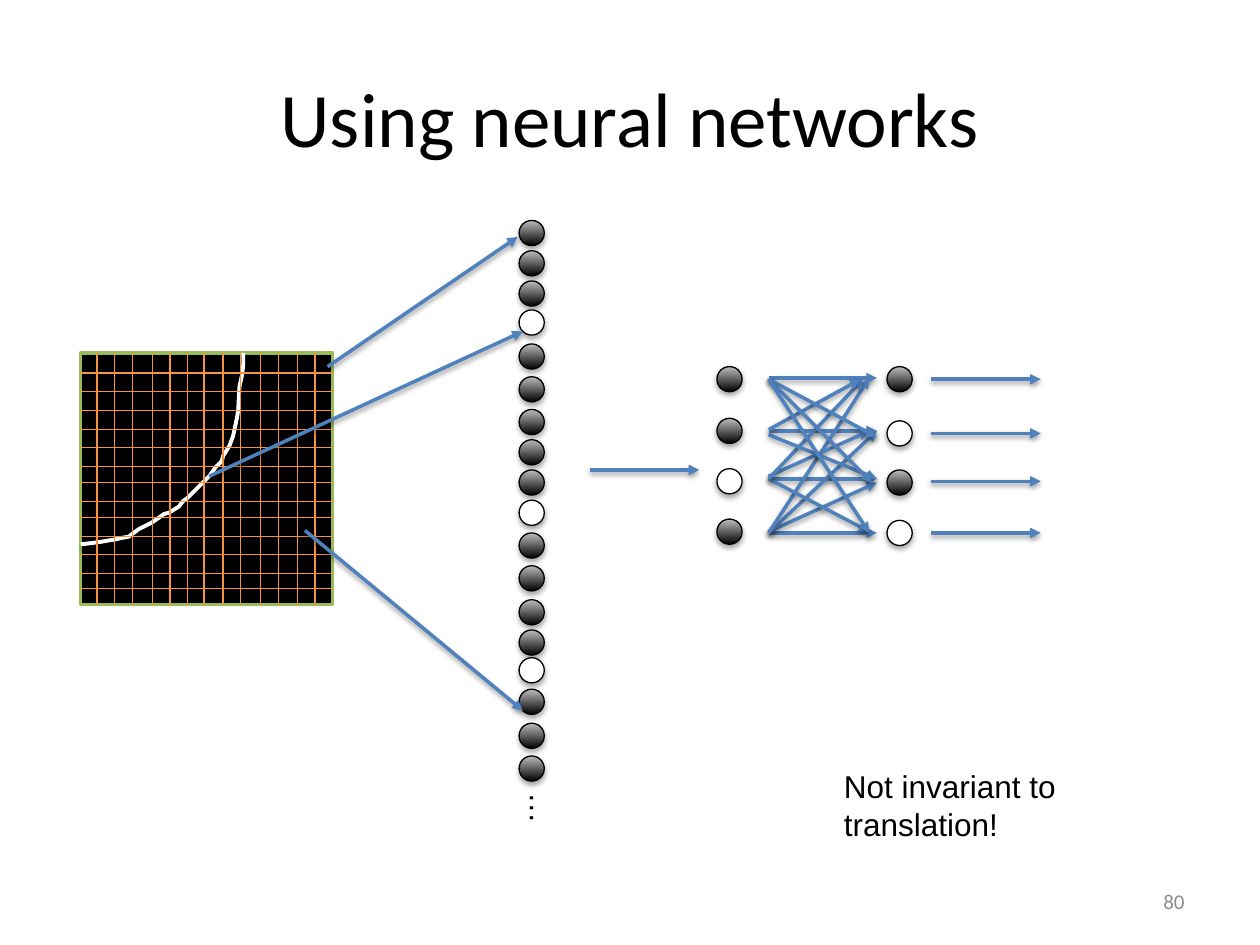
"""Build a slide that feeds the pixels of a grid into a small neural network."""
from typing import NamedTuple

from lxml import etree
from pptx import Presentation
from pptx.dml.color import RGBColor
from pptx.enum.shapes import MSO_CONNECTOR, MSO_SHAPE
from pptx.enum.text import MSO_ANCHOR, PP_ALIGN
from pptx.oxml.ns import qn
from pptx.util import Inches, Pt

STRAIGHT = MSO_CONNECTOR.STRAIGHT
RECTANGLE, OVAL = MSO_SHAPE.RECTANGLE, MSO_SHAPE.OVAL
TOP, MIDDLE = MSO_ANCHOR.TOP, MSO_ANCHOR.MIDDLE
LEFT, CENTER, RIGHT = PP_ALIGN.LEFT, PP_ALIGN.CENTER, PP_ALIGN.RIGHT

COLORS = {
    "black": "000000", "white": "FFFFFF", "gray": "BDBDBD", "number": "8C8C8C",
    "frame": "9BBB59", "grid": "F69240", "arrow": "4F81BD",
}


class Line(NamedTuple):
    x1: float
    y1: float
    x2: float
    y2: float


class Layer(NamedTuple):
    left: float
    tops: tuple[float, ...]
    active: tuple[int, ...]


NEURON_SIZE = 0.2
IMAGE_LEFT, IMAGE_TOP, IMAGE_SIZE = 0.64, 2.8, 2.0
GRID_COLUMNS = (0.77, 0.91, 1.05, 1.21, 1.35, 1.49, 1.62, 1.77, 1.91, 2.07, 2.21, 2.36, 2.5)
GRID_ROWS = (2.96, 3.11, 3.26, 3.41, 3.55, 3.7, 3.83, 3.98, 4.11, 4.26, 4.4, 4.55, 4.67)
CURVE = (
    (0.64, 4.32), (0.73, 4.31), (0.8, 4.3), (0.92, 4.28), (0.96, 4.27), (1.02, 4.26),
    (1.1, 4.2), (1.14, 4.18), (1.2, 4.15), (1.26, 4.11), (1.3, 4.08), (1.34, 4.07),
    (1.42, 4.02), (1.45, 3.98), (1.49, 3.95), (1.62, 3.82), (1.66, 3.78), (1.71, 3.71),
    (1.76, 3.66), (1.77, 3.62), (1.82, 3.54), (1.85, 3.46), (1.88, 3.32), (1.89, 3.26),
    (1.9, 3.07), (1.92, 2.98), (1.93, 2.9), (1.93, 2.8),
)
INPUT_LAYER = Layer(
    4.12,
    (1.75, 1.99, 2.23, 2.46, 2.73, 2.99, 3.25, 3.49, 3.73,
     3.97, 4.23, 4.49, 4.76, 5, 5.22, 5.47, 5.74, 6),
    (3, 9, 14),
)
HIDDEN_LAYER = Layer(5.69, (2.91, 3.32, 3.72, 4.12), (2,))
OUTPUT_LAYER = Layer(7.04, (2.91, 3.34, 3.73, 4.13), (1, 3))
WEIGHT_LEFT = 6.1
WEIGHTS = (
    (3.8, 6.96, 3.8), (3.42, 6.96, 3.42), (4.23, 6.96, 4.23), (3, 6.96, 3),
    (4.22, 6.96, 3.83), (4.23, 6.96, 3.42), (4.23, 6.9, 3), (3.8, 6.9, 4.22),
    (3.78, 6.9, 3.42), (3.8, 6.85, 3.01), (3.45, 6.96, 3.8), (3.41, 6.83, 3.01),
    (3.01, 6.96, 3.47), (3.01, 6.92, 3.83), (3.01, 6.9, 4.23),
)
OUTPUT_ROWS = (3.01, 3.44, 3.82, 4.23)
PIXEL_ARROWS = (
    Line(2.6, 2.91, 4.11, 1.88), Line(1.66, 3.78, 4.15, 2.63), Line(2.42, 4.21, 4.15, 5.64),
)


def color(name: str) -> RGBColor:
    return RGBColor.from_string(COLORS[name])


def set_line(shape, name: str, width: float) -> None:
    shape.line.color.rgb = color(name)
    shape.line.width = Pt(width)


def set_effects(shape, distance: float = 0, opacity: int = 0) -> None:
    effects = etree.SubElement(shape._element.spPr, qn("a:effectLst"))
    if opacity:
        shadow = etree.SubElement(
            effects, qn("a:outerShdw"), blurRad=str(Pt(3.1)), dist=str(Pt(distance)),
            dir="5400000", rotWithShape="0")
        shade = etree.SubElement(shadow, qn("a:srgbClr"), val=COLORS["black"])
        etree.SubElement(shade, qn("a:alpha"), val=str(opacity * 1000))


def add_line(slide, line: Line, name: str, width: float):
    connector = slide.shapes.add_connector(STRAIGHT, *(Inches(value) for value in line))
    set_line(connector, name, width)
    return connector


def add_arrow(slide, line: Line) -> None:
    connector = add_line(slide, line, "arrow", 2)
    etree.SubElement(connector.line._get_or_add_ln(), qn("a:tailEnd"), type="triangle")
    set_effects(connector, 1.6, 38)


def add_layer(slide, layer: Layer) -> None:
    for index, top in enumerate(layer.tops):
        neuron = slide.shapes.add_shape(
            OVAL, Inches(layer.left), Inches(top), Inches(NEURON_SIZE), Inches(NEURON_SIZE))
        if index in layer.active:
            neuron.fill.solid()
            neuron.fill.fore_color.rgb = color("white")
        else:
            neuron.fill.gradient()
            neuron.fill.gradient_angle = 90
            for stop, name in zip(neuron.fill.gradient_stops, ("black", "gray")):
                stop.color.rgb = color(name)
        set_line(neuron, "black", 0.75)
        set_effects(neuron, 1.8, 35)


def add_image_grid(slide) -> None:
    frame = slide.shapes.add_shape(
        RECTANGLE, Inches(IMAGE_LEFT), Inches(IMAGE_TOP), Inches(IMAGE_SIZE), Inches(IMAGE_SIZE))
    frame.shadow.inherit = False
    frame.fill.solid()
    frame.fill.fore_color.rgb = color("black")
    set_line(frame, "frame", 2)

    points = [(Inches(x), Inches(y)) for x, y in CURVE]
    builder = slide.shapes.build_freeform(*points[0])
    builder.add_line_segments(points[1:], close=False)
    curve = builder.convert_to_shape()
    curve.fill.background()
    set_line(curve, "white", 2.25)
    set_effects(curve, 1.8, 35)

    grid = [Line(x, IMAGE_TOP, x, IMAGE_TOP + IMAGE_SIZE) for x in GRID_COLUMNS]
    grid += [Line(IMAGE_LEFT + IMAGE_SIZE, y, IMAGE_LEFT, y) for y in GRID_ROWS]
    for line in grid:
        set_effects(add_line(slide, line, "grid", 0.75))


def add_text(slide, text: str, left: float, top: float, width: float, height: float, *,
             size: int = 18, font: str = "Arial", name: str = "black", align=LEFT,
             anchor=TOP, rotation: int = 0, right_margin: float = 0.1) -> None:
    box = slide.shapes.add_textbox(Inches(left), Inches(top), Inches(width), Inches(height))
    box.rotation = rotation
    frame = box.text_frame
    frame.word_wrap = True
    frame.vertical_anchor = anchor
    frame.margin_right = Inches(right_margin)
    paragraph = frame.paragraphs[0]
    paragraph.alignment = align
    run = paragraph.add_run()
    run.text = text
    run.font.size = Pt(size)
    run.font.name = font
    run.font.color.rgb = color(name)


def main() -> None:
    presentation = Presentation()
    presentation.slide_width, presentation.slide_height = Inches(10), Inches(7.5)
    slide = presentation.slides.add_slide(presentation.slide_layouts[6])

    add_text(slide, "Using neural networks", 0.5, 0.3, 9, 1.25,
             size=44, font="Calibri", align=CENTER, anchor=MIDDLE)
    add_text(slide, "80", 7.17, 6.95, 2.33, 0.4,
             size=12, font="Calibri", name="number", align=RIGHT, anchor=MIDDLE)
    add_image_grid(slide)
    add_layer(slide, INPUT_LAYER)
    add_text(slide, "…", 4.03, 6.27, 0.55, 0.4, rotation=90)
    add_arrow(slide, Line(4.68, 3.73, 5.55, 3.73))
    add_layer(slide, HIDDEN_LAYER)
    for weight in WEIGHTS:
        add_arrow(slide, Line(WEIGHT_LEFT, *weight))
    add_layer(slide, OUTPUT_LAYER)
    for y in OUTPUT_ROWS:
        add_arrow(slide, Line(7.39, y, 8.26, y))
    for arrow in PIXEL_ARROWS:
        add_arrow(slide, arrow)
    add_text(slide, "Not invariant to translation!", 6.6, 6.04, 3.06, 0.4, right_margin=1)
    presentation.save("out.pptx")


if __name__ == "__main__":
    main()
